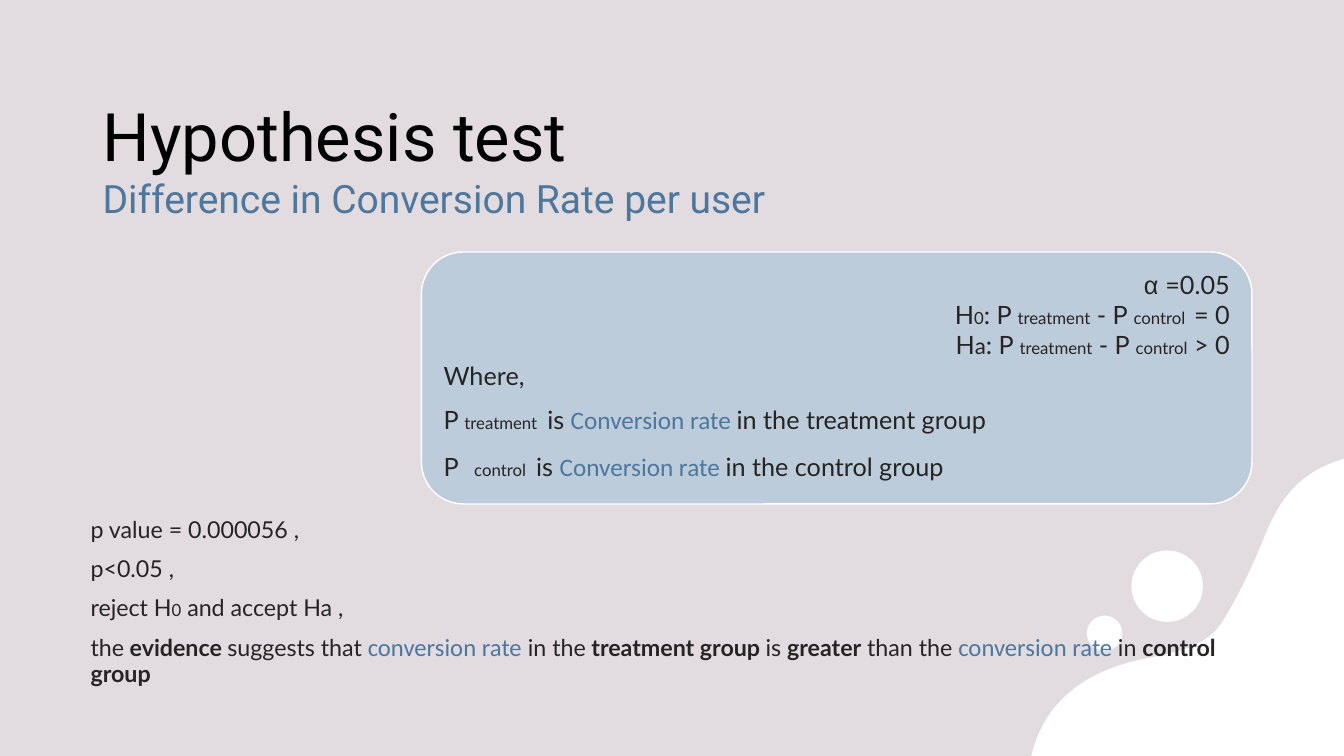
from math import cos, sin, tau

from lxml import etree
from pptx import Presentation
from pptx.dml.color import RGBColor
from pptx.enum import shapes, text
from pptx.oxml.ns import qn
from pptx.util import Pt

DARK, BLUE, WHITE = "252423", "4D779D", "FFFFFF"


def paint(fill, color):
    fill.solid()
    fill.fore_color.rgb = RGBColor.from_string(color)


def add_runs(p, runs):
    """Each run is text, size, then optionally font, colour and bold."""
    for content, size, *style in runs:
        font, color, bold = style + ["Lato", DARK, False][len(style):]
        r = p.add_run()
        r.text = content
        r.font.size = Pt(size)
        r.font.name = font
        r.font.bold = bold
        r.font.color.rgb = RGBColor.from_string(color)


prs = Presentation()
prs.slide_width, prs.slide_height = Pt(960), Pt(540)
slide = prs.slides.add_slide(prs.slide_layouts[6])

# Background with a translucent grey wash
paint(slide.background.fill, "E8E2E7")
wash = slide.shapes.add_shape(shapes.MSO_SHAPE.RECTANGLE, 0, 0, Pt(960), Pt(540))
wash.shadow.inherit = False
wash.line.fill.background()
paint(wash.fill, "AEAEAE")
wash_color = wash.fill._xPr.find(qn("a:solidFill"))[0]
etree.SubElement(wash_color, qn("a:alpha"), val="10000")

# Title and subtitle
sp = slide.shapes.add_textbox(Pt(66.24), Pt(64.08), Pt(726.5), Pt(97.9))
tf = sp.text_frame
tf.word_wrap = True
tf.vertical_anchor = text.MSO_ANCHOR.BOTTOM
p = tf.paragraphs[0]
add_runs(p, [("Hypothesis test", 47.7, "Roboto", "000000")])
p.add_line_break()
add_runs(p, [("Difference in Conversion Rate per user", 27.9, "Roboto", BLUE)])

# White wave in the corner: Bezier curves as control, control, end
curves = [
    [(748.1, 499.7), (776.9, 478.1), (819.4, 470.2)],
    [(839.5, 465.8), (860.4, 463), (872.6, 445)],
    [(884.9, 425.5), (895, 403.9), (903.6, 382.3)],
    [(911.5, 362.9), (922.3, 345.6), (941, 335.5)],
    [(944.6, 333.4), (948.2, 331.9), (951.8, 330.5)],
]
STEPS = 16
wave = [(960, 327.6), (960, 540), (736.6, 540), (738, 535)]
for c1, c2, end in curves:
    start = wave[-1]
    for i in range(1, STEPS + 1):
        t = i / STEPS
        s = 1 - t
        wave.append(tuple(
            s**3 * a + 3 * s * s * t * b + 3 * s * t * t * c + t**3 * d
            for a, b, c, d in zip(start, c1, c2, end)
        ))

# Two drops beside the wave: centre x, centre y, radius
outlines = [wave]
for cx, cy, radius in [(789, 452.4), 12.6] and [(789, 452.4, 12.6), (833.7, 418.7, 25.5)]:
    angles = [tau * i / 72 for i in range(72)]
    outlines.append([(cx + radius * cos(a), cy + radius * sin(a)) for a in angles])

# All outlines form one shape, drawn in hundredths of a point
builder = None
for outline in outlines:
    points = [(x * 100, y * 100) for x, y in outline]
    if builder is None:
        builder = slide.shapes.build_freeform(*points[0], scale=Pt(1) / 100)
    else:
        builder.move_to(*points[0])
    builder.add_line_segments(points[1:], close=True)
sp = builder.convert_to_shape()
sp.shadow.inherit = False
sp.line.fill.background()
paint(sp.fill, WHITE)

# Conclusion
BODY = 16.6
rate_style = (17.6, "Calibri", BLUE)
bold = (BODY, "Lato", DARK, True)
conclusion = [
    [("p value = 0.000056 ,", BODY)],
    [("p<0.05 ,", BODY)],
    [("reject H", BODY), ("0", 12), (" and accept Ha ,", BODY)],
    [
        ("the", BODY), (" evidence ", *bold), ("suggests that ", BODY),
        ("conversion rate", *rate_style), (" in the", BODY),
        (" treatment group ", *bold), ("is ", BODY), ("greater", *bold),
        (" than the ", BODY), ("conversion rate ", *rate_style),
        ("in ", BODY), ("control group", *bold),
    ],
]
sp = slide.shapes.add_textbox(Pt(57.6), Pt(366.5), Pt(836.6), Pt(133.2))
tf = sp.text_frame
tf.word_wrap = True
for i, runs in enumerate(conclusion):
    p = tf.add_paragraph() if i else tf.paragraphs[0]
    p.line_spacing = 0.9
    p.space_before = Pt(10)
    add_runs(p, runs)

# Hypotheses card
RIGHT, LEFT = text.PP_ALIGN.RIGHT, text.PP_ALIGN.LEFT
difference = [(": P ", 18), ("treatment", 12), (" - P ", 18)]
rate = ("Conversion rate ", 18, "Calibri", BLUE)
hypotheses = [
    (RIGHT, [("α ", 18, "Arial"), ("=0.05", 18)]),
    (RIGHT, [("H", 18), ("0", 12), *difference, ("control  ", 12), ("= 0", 18)]),
    (RIGHT, [("H", 18), ("a", 16), *difference, ("control", 12), (" > 0", 18)]),
    (LEFT, [("Where,", 18)]),
    (LEFT, [("P ", 18), ("treatment", 12), (" ", 28), ("is ", 18), rate,
            ("in the treatment group", 18)]),
    (LEFT, [("P", 18), ("  ", 20, "Arial"), ("control", 12), (" ", 28), ("is ", 18),
            rate, ("in the control group", 18)]),
]
card = slide.shapes.add_shape(
    shapes.MSO_SHAPE.ROUNDED_RECTANGLE, Pt(301), Pt(180), Pt(593.3), Pt(180))
card.shadow.inherit = False
paint(card.fill, "BDCCDB")
paint(card.line.fill, WHITE)
card.line.width = Pt(1)
tf = card.text_frame
tf.word_wrap = True
tf.vertical_anchor = text.MSO_ANCHOR.TOP
for i, (align, runs) in enumerate(hypotheses):
    p = tf.add_paragraph() if i else tf.paragraphs[0]
    p.alignment = align
    add_runs(p, runs)

prs.save("out.pptx")
